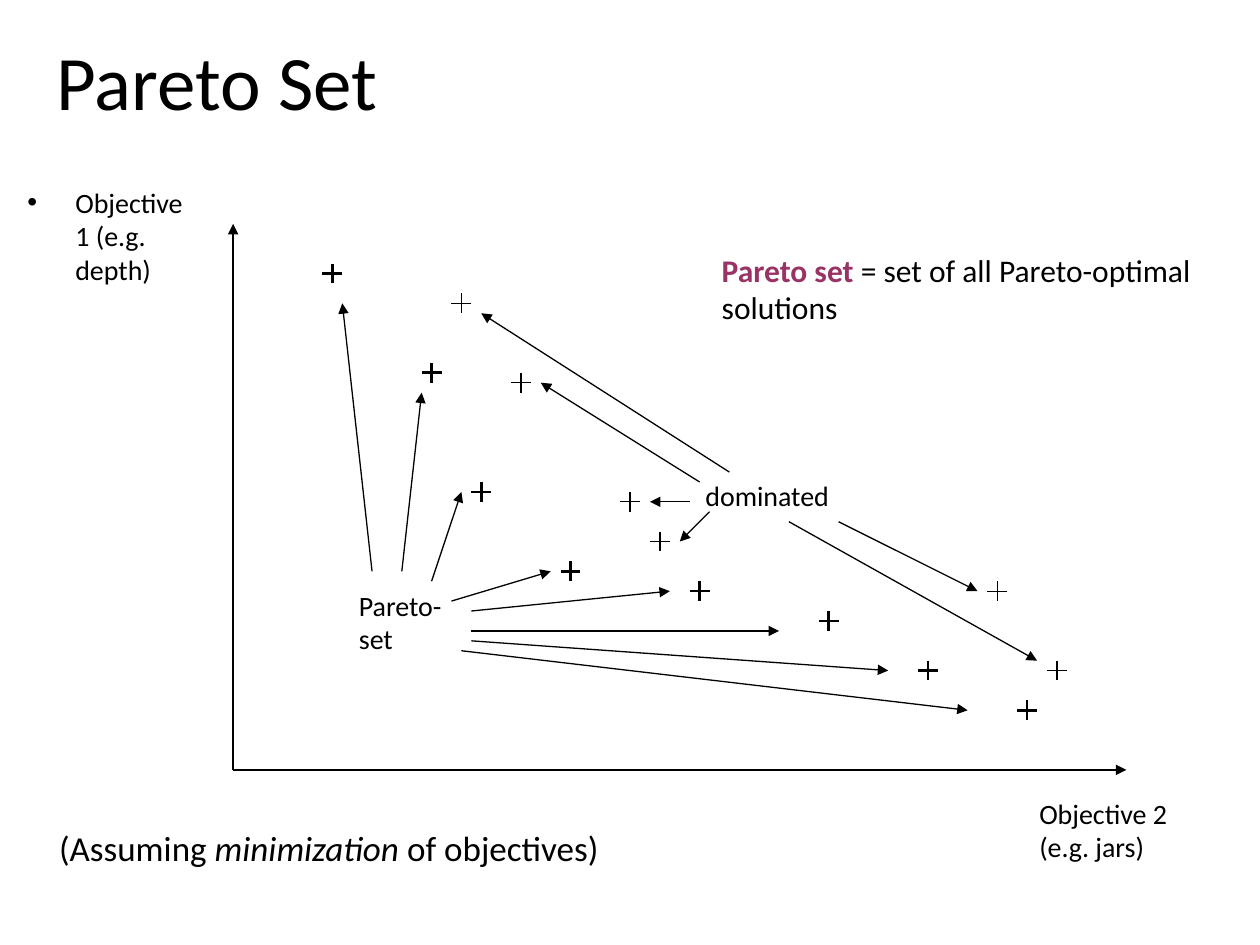
from lxml import etree
from pptx import Presentation
from pptx import util as u
from pptx.dml.color import RGBColor
from pptx.enum import shapes, text
from pptx.oxml import ns

BLACK, PLUM = "000000", "993366"


def rgb(value):
    return RGBColor.from_string(value)


class Deck:
    font = "Calibri"
    origin = (1.85, 6.11)
    step = 7.09 / 90

    def __init__(self, width, height):
        self.prs = Presentation()
        self.prs.slide_width, self.prs.slide_height = u.Inches(width), u.Inches(height)
        self.s = self.prs.slides.add_slide(self.prs.slide_layouts[5])

    def box(self, left, top, width, height):
        w, h = self.prs.slide_width, self.prs.slide_height
        return [int(share * side / 100)
                for share, side in ((left, w), (top, h), (width, w), (height, h))]

    def point(self, x, y):
        return (u.Inches(self.origin[0] + x * self.step),
                u.Inches(self.origin[1] - y * self.step))

    def fill_paragraph(self, p, runs, size):
        p.alignment = text.PP_ALIGN.LEFT
        for words, extra in runs:
            if words == "\n":
                p.add_line_break()
                continue
            r = p.add_run()
            r.text = words
            style = {"name": self.font, "size": u.Pt(size), **extra}
            r.font.color.rgb = rgb(style.pop("color", BLACK))
            for key, value in style.items():
                setattr(r.font, key, value)

    def title(self, words, area, size):
        sp = self.s.shapes.title
        sp.left, sp.top, sp.width, sp.height = self.box(*area)
        tf = sp.text_frame
        tf.auto_size = text.MSO_AUTO_SIZE.NONE
        tf.vertical_anchor = text.MSO_ANCHOR.MIDDLE
        self.fill_paragraph(tf.paragraphs[0], [(words, {})], size)

    def label(self, paragraphs, area, size=16, wrap=True, bullet=False):
        tf = self.s.shapes.add_textbox(*self.box(*area)).text_frame
        tf.word_wrap = wrap
        for i, runs in enumerate(paragraphs):
            p = tf.add_paragraph() if i else tf.paragraphs[0]
            self.fill_paragraph(p, runs, size)
            if bullet:
                self.bullet(p)

    def bullet(self, p):
        p.space_before = u.Pt(4)
        pPr = p._p.get_or_add_pPr()
        indent = u.Inches(0.38)
        pPr.set("marL", str(indent))
        pPr.set("indent", str(-indent))
        etree.SubElement(pPr, ns.qn("a:buFont")).set("typeface", "Arial")
        etree.SubElement(pPr, ns.qn("a:buChar")).set("char", "•")

    def line(self, start, end, weight=0.75, head=False, parent=None):
        sp = (parent or self.s).shapes.add_connector(
            shapes.MSO_CONNECTOR.STRAIGHT, *self.point(*start), *self.point(*end))
        sp.line.color.rgb = rgb(BLACK)
        sp.line.width = u.Pt(weight)
        if head:
            tail = etree.SubElement(sp.line._get_or_add_ln(), ns.qn("a:tailEnd"))
            tail.set("type", "triangle")
        etree.SubElement(sp._element.spPr, ns.qn("a:effectLst"))

    def plus(self, x, y, weight):
        group = self.s.shapes.add_group_shape()
        self.line((x, y + 1), (x, y - 1), weight, parent=group)
        self.line((x - 1, y), (x + 1, y), weight, parent=group)


def main():
    deck = Deck(10, 7.5)
    deck.title("Pareto Set", (3.5, 1.07, 74, 14.8), 44)
    deck.label([[("Objective 1 (e.g. depth)", {})]], (1.2, 18.93, 15.7, 12), bullet=True)
    deck.label([[("Objective 2", {}), ("\n", {}), ("(e.g. jars)", {})]],
               (81.5, 83.6, 16.5, 8.53))
    deck.label([[("Pareto set", {"bold": True, "color": PLUM}),
                 (" = set of all Pareto-optimal solutions", {})]],
               (56.3, 25.87, 40.3, 9.33), size=18)
    deck.label([[("dominated", {})]], (55, 50, 11.9, 4.93), wrap=False)
    deck.label([[("Pareto-", {})], [("set", {})]], (27.5, 61.6, 8.7, 8.4), wrap=False)
    deck.label([[("(Assuming ", {}), ("minimization", {"italic": True}),
                 (" of objectives)", {})]], (3.7, 86.8, 44.9, 5.73), size=20, wrap=False)

    for axis_end in ((90, 0), (0, 55)):
        deck.line((0, 0), axis_end, 1, head=True)

    pareto = [(10, 50), (20, 40), (25, 28), (34, 20),
              (47, 18), (60, 15), (70, 10), (80, 6)]
    dominated = [(23, 47), (29, 39), (40, 27), (43, 23), (77, 18), (83, 10)]
    for points, weight in ((pareto, 1.5), (dominated, 0.75)):
        for x, y in points:
            deck.plus(x, y, weight)

    pareto_arrows = [
        ((14, 20), (11, 47)), ((17, 20), (19, 38)), ((20, 19), (23, 28)),
        ((22, 17), (32, 20)), ((24, 16), (44, 18)), ((24, 14), (55, 14)),
        ((24, 13), (66, 10)), ((23, 12), (74, 6)),
    ]
    dominated_arrows = [
        ((50, 30), (25, 46)), ((47, 29), (31, 39)), ((46, 27), (42, 27)),
        ((48, 26), (45, 23)), ((61, 25), (75, 18)), ((56, 25), (81, 11)),
    ]
    for start, end in pareto_arrows + dominated_arrows:
        deck.line(start, end, head=True)

    deck.prs.save("out.pptx")


if __name__ == "__main__":
    main()
